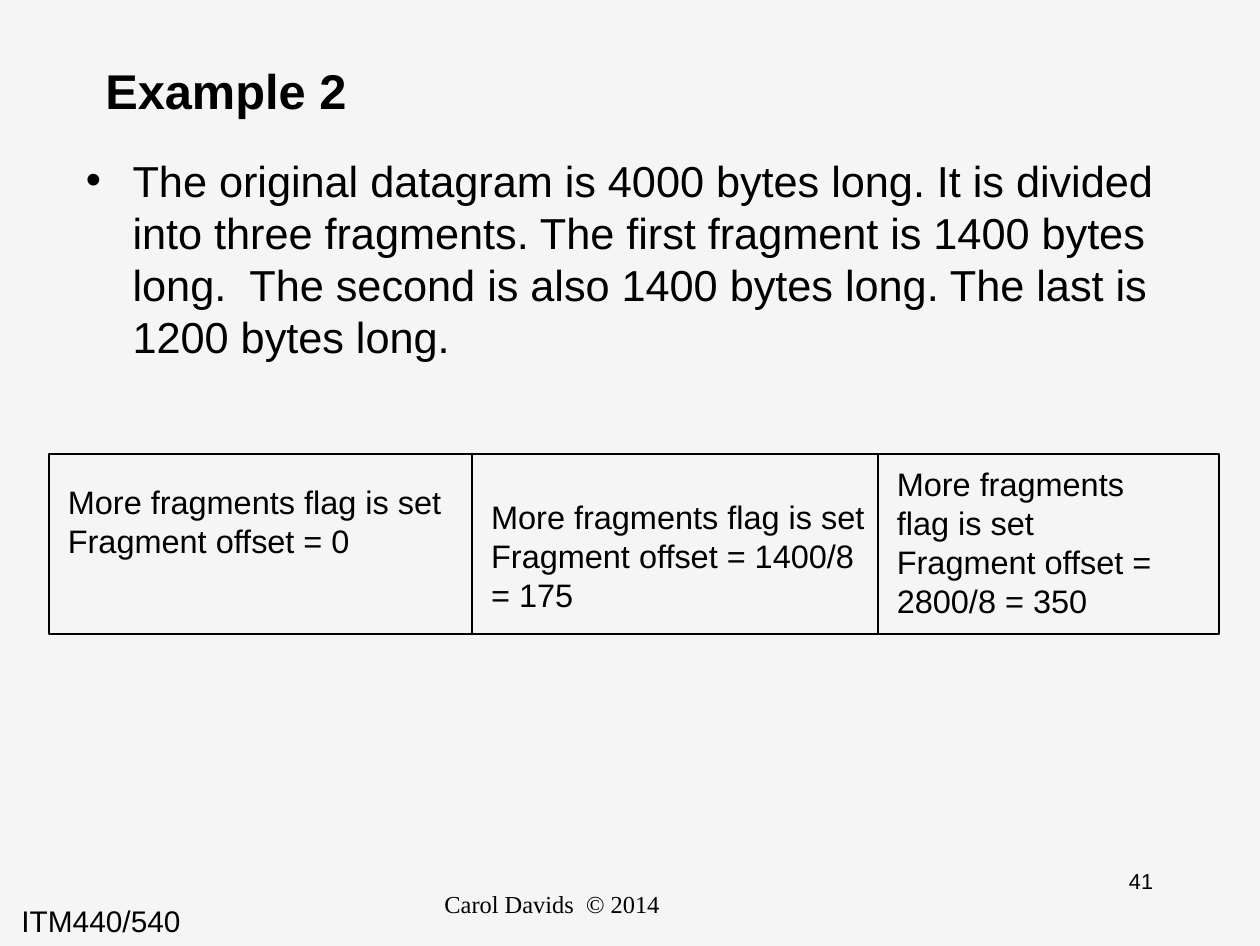
from dataclasses import dataclass

from lxml.etree import SubElement
from pptx import Presentation
from pptx.dml.color import RGBColor
from pptx.enum.shapes import MSO_SHAPE
from pptx.enum.text import MSO_ANCHOR, PP_ALIGN
from pptx.oxml.ns import qn
from pptx.slide import Slide
from pptx.util import Inches, Pt

BLACK = RGBColor(0x00, 0x00, 0x00)
BACKGROUND = RGBColor(0xF5, 0xF5, 0xF5)

ROW_LEFT, ROW_TOP, ROW_HEIGHT = 0.25, 2.33, 0.92


@dataclass(frozen=True)
class Label:
    text: str
    left: float
    top: float
    width: float
    height: float
    size: float
    font: str = "Arial"
    bold: bool = False
    align: PP_ALIGN = PP_ALIGN.LEFT
    anchor: MSO_ANCHOR = MSO_ANCHOR.TOP
    inset: tuple[float, float] = (0.06, 0.03)
    bullet: bool = False


@dataclass(frozen=True)
class Fragment:
    offset: str
    width: float
    text_top: float
    text_width: float
    text_height: float


LABELS = [
    Label("ITM440/540", 0, 4.58, 2.1, 0.29, 11, inset=(0.11, 0.05)),
    Label(" 41", 5.33, 4.42, 1.01, 0.32, 8, align=PP_ALIGN.CENTER),
    Label("Carol Davids  © 2014", 1.7, 4.53, 2.26, 0.32, 9,
          font="Times New Roman", align=PP_ALIGN.CENTER),
    Label("Example 2", 0.48, 0.27, 5.49, 0.38, 18, bold=True,
          anchor=MSO_ANCHOR.MIDDLE),
    Label("The original datagram is 4000 bytes long. It is divided into three "
          "fragments. The first fragment is 1400 bytes long.  The second is "
          "also 1400 bytes long. The last is 1200 bytes long.",
          0.38, 0.76, 5.65, 2.53, 16, bullet=True),
]

FRAGMENTS = [
    Fragment("0", 2.17, 2.42, 2.17, 0.5),
    Fragment("1400/8 = 175", 2.08, 2.5, 2.17, 0.7),
    Fragment("2800/8 = 350", 1.75, 2.33, 1.67, 0.9),
]


def add_label(s: Slide, label: Label) -> None:
    box = s.shapes.add_textbox(Inches(label.left), Inches(label.top),
                               Inches(label.width), Inches(label.height))
    tf = box.text_frame
    tf.word_wrap = True
    tf.vertical_anchor = label.anchor
    tf.margin_left = tf.margin_right = Inches(label.inset[0])
    tf.margin_top = tf.margin_bottom = Inches(label.inset[1])
    tf.text = label.text
    for p in tf.paragraphs:
        p.alignment = label.align
        if label.bullet:
            pPr = p._p.get_or_add_pPr()
            pPr.set("marL", str(Inches(0.24)))
            pPr.set("indent", str(-Inches(0.24)))
            SubElement(pPr, qn("a:buFont"), typeface="Arial")
            SubElement(pPr, qn("a:buChar"), char="•")
        for r in p.runs:
            r.font.name = label.font
            r.font.size = Pt(label.size)
            r.font.bold = label.bold
            r.font.color.rgb = BLACK


def add_frame(s: Slide, left: float, width: float) -> None:
    sp = s.shapes.add_shape(MSO_SHAPE.RECTANGLE, Inches(left), Inches(ROW_TOP),
                            Inches(width), Inches(ROW_HEIGHT))
    sp.shadow.inherit = False
    sp.fill.background()
    sp.line.color.rgb = BLACK
    sp.line.width = Pt(0.75)


def add_fragments(s: Slide, fragments: list[Fragment]) -> None:
    left = ROW_LEFT
    for fragment in fragments:
        add_frame(s, left, fragment.width)
        text = f"More fragments flag is set\nFragment offset = {fragment.offset}"
        add_label(s, Label(text, left, fragment.text_top, fragment.text_width,
                           fragment.text_height, 12, inset=(0.1, 0.05)))
        left += fragment.width


def main() -> None:
    prs = Presentation()
    prs.slide_width, prs.slide_height = Inches(6.46), Inches(4.85)
    s = prs.slides.add_slide(prs.slide_layouts[6])
    s.background.fill.solid()
    s.background.fill.fore_color.rgb = BACKGROUND

    # Footer, title and body text
    for label in LABELS:
        add_label(s, label)

    # Row of datagram fragments
    add_fragments(s, FRAGMENTS)

    prs.save("out.pptx")


if __name__ == "__main__":
    main()
